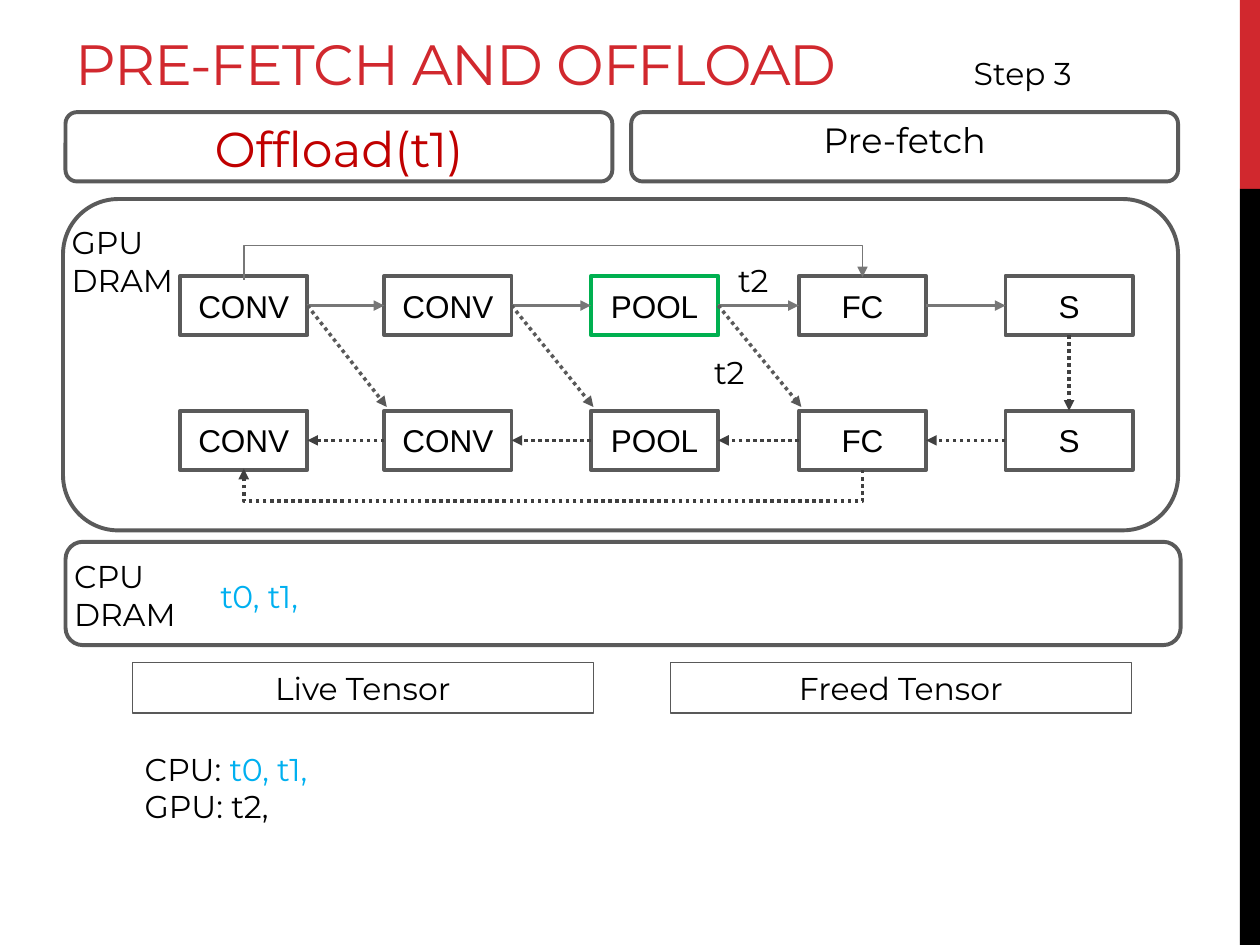
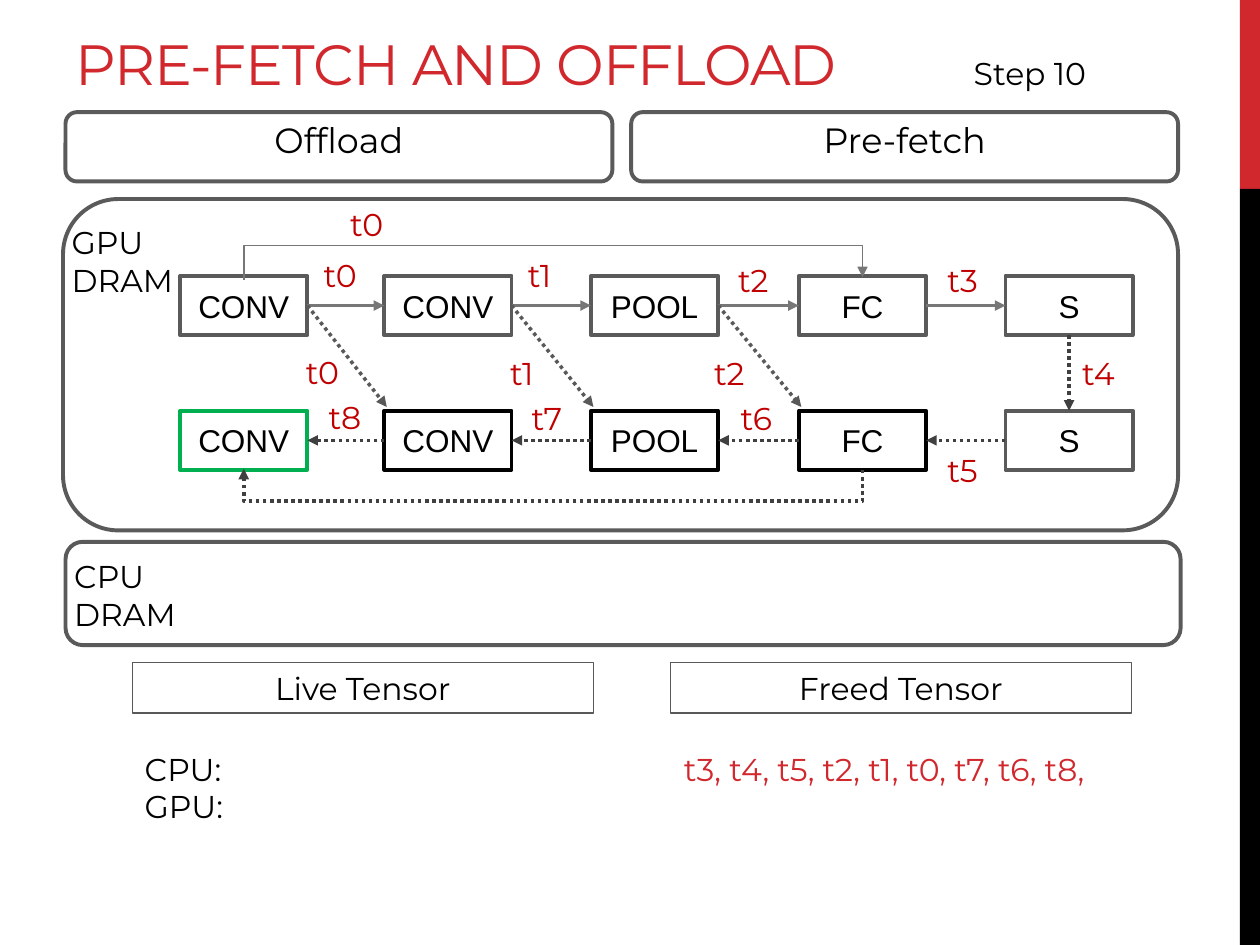
"""Build two steps of the tensor pre-fetch and offload walk-through."""
import dataclasses

import lxml.etree
import pptx
import pptx.dml.color
import pptx.enum.dml
import pptx.enum.shapes
import pptx.enum.text
import pptx.oxml.ns
import pptx.util

Inches = pptx.util.Inches
KIND = pptx.enum.shapes.MSO_SHAPE
LINK = pptx.enum.shapes.MSO_CONNECTOR
ALIGN = pptx.enum.text.PP_ALIGN
ANCHOR = pptx.enum.text.MSO_ANCHOR


@dataclasses.dataclass(frozen=True)
class Theme:
    """Colours, fonts and type sizes."""
    red: str = "D1282E"
    dark: str = "C00000"
    blue: str = "00B0F0"
    green: str = "00B050"
    black: str = "000000"
    edge: str = "5A5A5A"
    solid: str = "777777"
    skip: str = "595959"
    back: str = "404040"
    font: str = "Montserrat"
    plain: str = "Arial"
    title: float = 32.4
    loud: float = 28
    head: float = 20
    body: float = 18


@dataclasses.dataclass(frozen=True)
class Step:
    """What changes from one step to the next."""
    name: str
    offload: tuple
    marks: dict
    tags: tuple
    stored: str
    live: tuple
    freed: str


T = Theme()
LAYERS = ("CONV", "CONV", "POOL", "FC", "S")
COLS = (1.43, 3.05, 4.69, 6.34, 7.98)
ROWS = (2.19, 3.26)
WIDE, HIGH = 1.01, 0.47
STEPS = (
    Step("Step 3", ("Offload(t1)", T.dark, T.loud), {(0, 2): T.green},
         (("t2", 5.57, 2.75, T.black), ("t2", 5.76, 2.02, T.black)),
         "t0, t1,",
         ((("CPU: ", T.black), ("t0, t1,", T.blue)), (("GPU: t2,", T.black),)),
         ""),
    Step("Step 10", ("Offload", T.black, T.head),
         {(1, 0): T.green, (1, 1): T.black, (1, 2): T.black, (1, 3): T.black},
         tuple((text, x, y, T.dark) for text, x, y in (
             ("t0", 2.68, 1.58), ("t0", 2.47, 1.98), ("t1", 4.09, 1.98),
             ("t2", 5.76, 2.02), ("t3", 7.42, 2.02), ("t0", 2.33, 2.75),
             ("t1", 3.95, 2.76), ("t2", 5.57, 2.76), ("t4", 8.49, 2.76),
             ("t8", 2.51, 3.11), ("t7", 4.12, 3.12), ("t6", 5.78, 3.12),
             ("t5", 7.42, 3.53))),
         "", ((("CPU:", T.black),), (("GPU:", T.black),)),
         "t3, t4, t5, t2, t1, t0, t7, t6, t8,"),
)


def tint(code):
    """Turn a hex code into a colour."""
    return pptx.dml.color.RGBColor.from_string(code)


def style(run, color, size, font=T.font):
    """Set the font of one run."""
    run.font.name = font
    run.font.size = pptx.util.Pt(size)
    run.font.color.rgb = tint(color)


def shape(slide, kind, at, edge=None, width=2.25, fill=None):
    """Add a preset shape with an outline or a fill."""
    item = slide.shapes.add_shape(kind, *map(Inches, at))
    item.shadow.inherit = False
    if fill:
        item.fill.solid()
        item.fill.fore_color.rgb = tint(fill)
    else:
        item.fill.background()
    if edge:
        item.line.color.rgb = tint(edge)
        item.line.width = pptx.util.Pt(width)
    else:
        item.line.fill.background()
    return item


def label(item, text, color=T.black, size=T.body, font=T.font):
    """Write one centred line inside a shape."""
    frame = item.text_frame
    frame.text = text
    frame.word_wrap = True
    frame.paragraphs[0].alignment = ALIGN.CENTER
    style(frame.paragraphs[0].runs[0], color, size, font)
    return frame


def note(slide, at, *lines):
    """Add a text box; each line is a row of (text, colour) pairs."""
    frame = slide.shapes.add_textbox(*map(Inches, at)).text_frame
    frame.word_wrap = True
    for i, line in enumerate(lines):
        para = frame.add_paragraph() if i else frame.paragraphs[0]
        for text, color in line:
            run = para.add_run()
            run.text = text
            style(run, color, T.body)


def arrow(slide, start, end, color, dots=True, width=2, kind=LINK.STRAIGHT):
    """Add a connector that ends in a triangle."""
    item = slide.shapes.add_connector(kind, *map(Inches, (*start, *end)))
    item.line.color.rgb = tint(color)
    item.line.width = pptx.util.Pt(width)
    if dots:
        item.line.dash_style = pptx.enum.dml.MSO_LINE.ROUND_DOT
    props = item.element.spPr
    line = props.find(pptx.oxml.ns.qn("a:ln"))
    lxml.etree.SubElement(line, pptx.oxml.ns.qn("a:tailEnd"), type="triangle")
    lxml.etree.SubElement(props, pptx.oxml.ns.qn("a:effectLst"))
    return item


def detour(slide, start, end, via, color, dots, width):
    """Add an elbow arrow that runs level at the height via."""
    (x1, y1), (x2, y2) = start, end
    cx, cy = (x1 + x2) / 2, (y1 + y2) / 2
    turned = [(cx + y - cy, cy - x + cx) for x, y in (start, end)]
    item = arrow(slide, *turned, color, dots, width, LINK.ELBOW)
    props = item.element.spPr
    props.find(pptx.oxml.ns.qn("a:xfrm")).set("rot", "5400000")
    geom = props.find(pptx.oxml.ns.qn("a:prstGeom"))
    bend = round((via - y1) / (y2 - y1) * 100000)
    lxml.etree.SubElement(geom.find(pptx.oxml.ns.qn("a:avLst")),
                          pptx.oxml.ns.qn("a:gd"),
                          name="adj1", fmla=f"val {bend}")


def layout(deck):
    """Prepare the title-only layout with its place for the title."""
    base = deck.slide_layouts[5]
    for item in list(base.placeholders):
        if item.placeholder_format.idx:
            item.element.getparent().remove(item.element)
        else:
            item.left, item.top, item.width, item.height = map(
                Inches, (0.5, 0.17, 8.85, 0.65))
            item.text_frame.vertical_anchor = ANCHOR.BOTTOM
    return base


def bands(deck, base):
    """Put the red and black side bands on the layout."""
    slide = deck.slides[0]
    for top, high, fill in ((0, 1.5, T.red), (1.5, 6, T.black)):
        band = shape(slide, KIND.RECTANGLE, (9.84, top, 0.16, high), fill=fill)
        base.shapes.element.append(band.element)


def title(slide):
    """Write the slide title."""
    frame = slide.shapes.title.text_frame
    frame.text = "PRE-FETCH AND OFFLOAD"
    para = frame.paragraphs[0]
    para.alignment = ALIGN.LEFT
    style(para.runs[0], T.red, T.title)
    para.runs[0].font._element.set("spc", "-60")


def panels(slide, step):
    """Draw the action, memory and tensor panels."""
    heads = (step.offload, ("Pre-fetch", T.black, T.head))
    for left, (text, color, size) in zip((0.52, 5.01), heads):
        item = shape(slide, KIND.ROUNDED_RECTANGLE,
                     (left, 0.89, 4.34, 0.55), T.edge)
        frame = label(item, text, color, size)
        frame.vertical_anchor = ANCHOR.TOP
        frame.margin_top = Inches(0.02)
    for name, left, top, high, gap in (("GPU", 0.5, 1.58, 2.63, 0.14),
                                       ("CPU", 0.52, 4.3, 0.82, 0.07)):
        shape(slide, KIND.ROUNDED_RECTANGLE, (left, top, 8.85, high), T.edge)
        note(slide, (left - 0.03, top + gap, 1.19, 0.71),
             [(name, T.black)], [("DRAM", T.black)])
    for text, left in (("Live Tensor", 1.05), ("Freed Tensor", 5.32)):
        label(shape(slide, KIND.RECTANGLE, (left, 5.26, 3.66, 0.4),
                    T.skip, 0.75), text)


def network(slide, marks):
    """Draw the forward and backward layers with their links."""
    for r, top in enumerate(ROWS):
        for c, (left, text) in enumerate(zip(COLS, LAYERS)):
            item = shape(slide, KIND.RECTANGLE, (left, top, WIDE, HIGH),
                         marks.get((r, c), T.edge))
            label(item, text, font=T.plain)
    front, rear = (top + HIGH / 2 for top in ROWS)
    for i, (left, right) in enumerate(zip(COLS, COLS[1:])):
        edge = left + WIDE
        arrow(slide, (edge, front), (right, front), T.solid, dots=False)
        arrow(slide, (right, rear), (edge, rear), T.back)
        if i < 3:
            arrow(slide, (edge, front), (right + 0.02, ROWS[1] - 0.03), T.skip)
    first, last, drop = (COLS[i] + WIDE / 2 for i in (0, 3, 4))
    foot = ROWS[1] + HIGH
    arrow(slide, (drop, ROWS[0] + HIGH), (drop, ROWS[1]), T.back)
    detour(slide, (first, 2.22), (last, 2.2), 1.95, T.solid, False, 1)
    detour(slide, (last, foot), (first, foot - 0.01), 3.98, T.back, True, 2)


def build(deck, base, step):
    """Add one slide for one step."""
    slide = deck.slides.add_slide(base)
    if len(deck.slides) == 1:
        bands(deck, base)
    title(slide)
    panels(slide, step)
    network(slide, step.marks)
    note(slide, (7.63, 0.38, 1.4, 0.4), [(step.name, T.black)])
    for text, left, top, color in step.tags:
        note(slide, (left, top, 0.55, 0.4), [(text, color)])
    note(slide, (1.05, 5.9, 3.66, 0.71), *step.live)
    if step.stored:
        note(slide, (1.65, 4.53, 1.1, 0.4), [(step.stored, T.blue)])
    if step.freed:
        note(slide, (5.33, 5.9, 4.4, 0.4), [(step.freed, T.red)])


def main():
    """Build and save the deck."""
    deck = pptx.Presentation()
    deck.slide_width, deck.slide_height = Inches(10), Inches(7.5)
    base = layout(deck)
    for step in STEPS:
        build(deck, base, step)
    deck.save("out.pptx")


if __name__ == "__main__":
    main()
